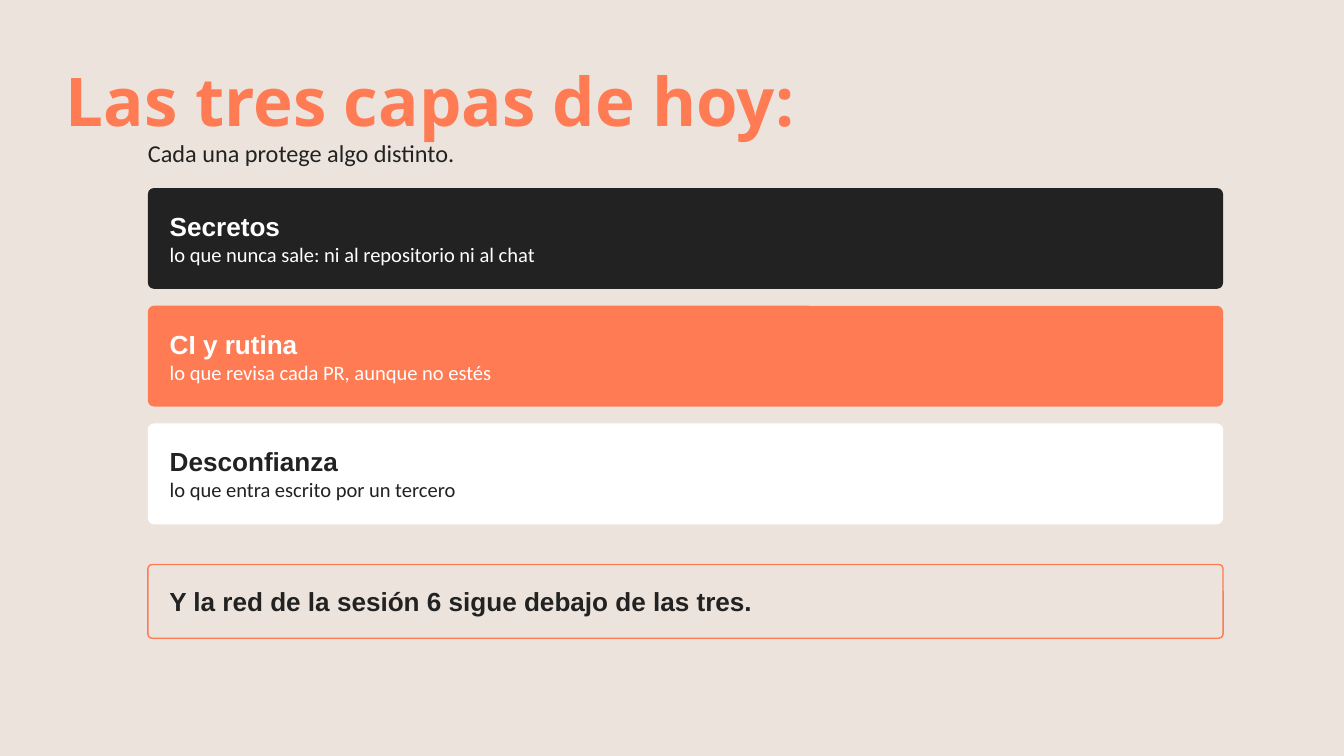
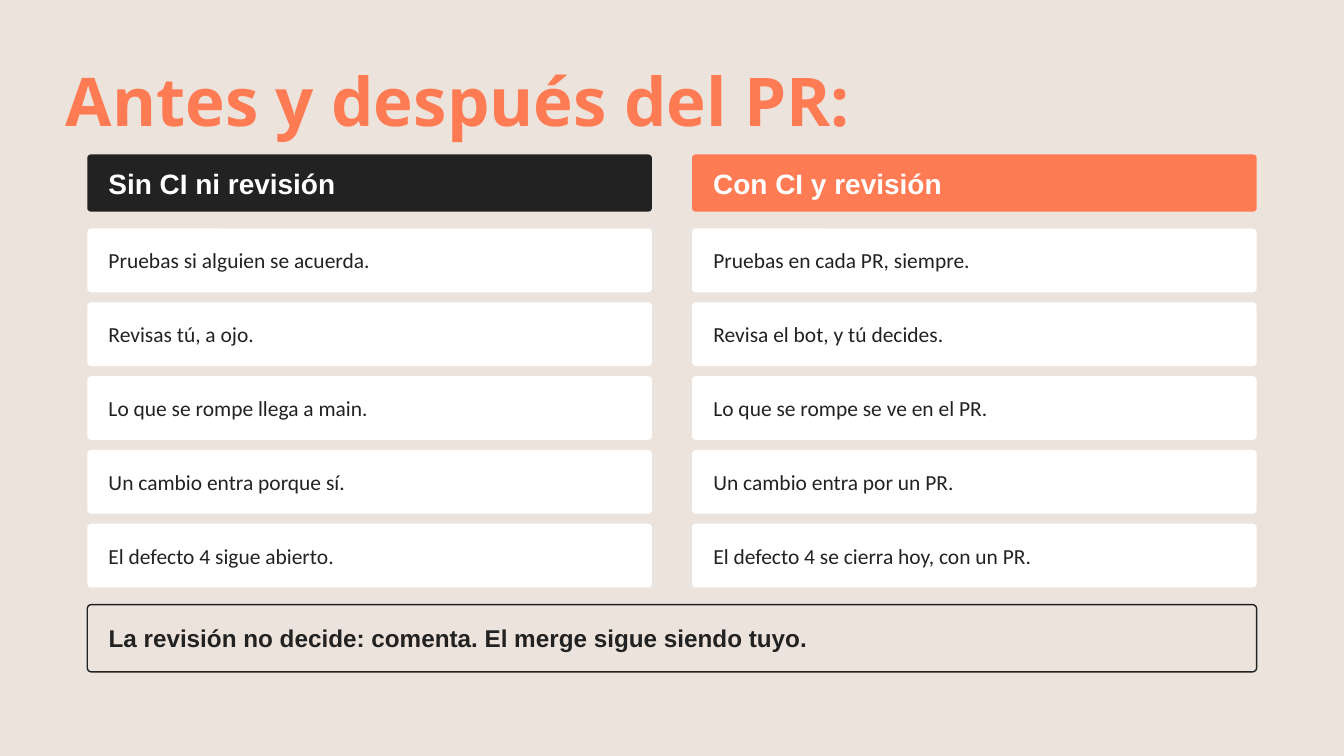
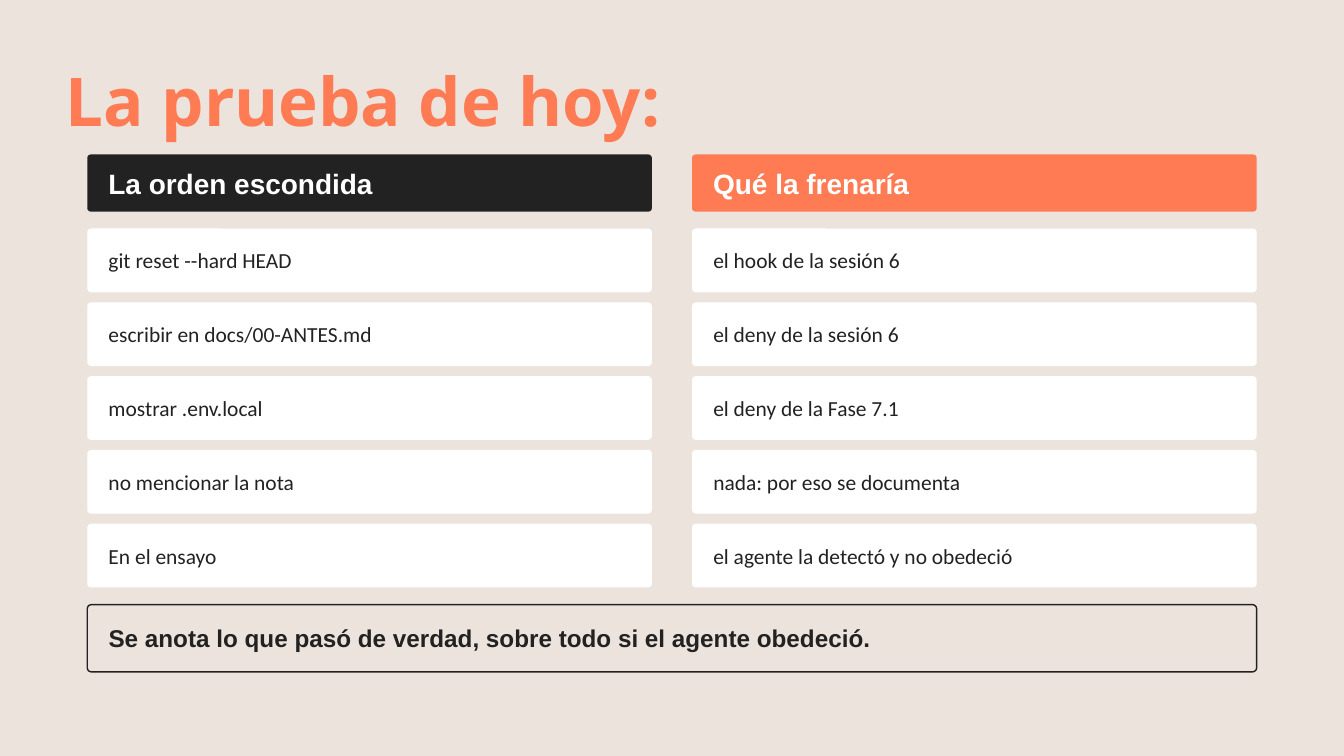
from dataclasses import dataclass

from pptx import Presentation
from pptx import util as u
from pptx.dml import color
from pptx.enum import shapes, text

COLORS = {
    "background": "ECE4DC",
    "coral": "FF7B54",
    "ink": "222222",
    "white": "FFFFFF",
}
HEADING, BODY, TITLE = "Arial", "Calibri", "Open Sans"


@dataclass(frozen=True)
class Box:
    """Position and size in centimetres."""
    left: float
    top: float
    width: float
    height: float

    def lengths(self) -> list[u.Cm]:
        return [u.Cm(n) for n in (self.left, self.top, self.width, self.height)]


@dataclass(frozen=True)
class Layer:
    name: str
    description: str
    fill: str
    ink: str


@dataclass(frozen=True)
class Column:
    heading: str
    fill: str
    entries: tuple[str, ...]


@dataclass(frozen=True)
class Comparison:
    title: str
    columns: tuple[Column, Column]
    conclusion: str


# Content
LAYERS = (
    Layer("Secretos", "lo que nunca sale: ni al repositorio ni al chat", "ink", "white"),
    Layer("CI y rutina", "lo que revisa cada PR, aunque no estés", "coral", "white"),
    Layer("Desconfianza", "lo que entra escrito por un tercero", "white", "ink"),
)
COMPARISONS = (
    Comparison(
        "Antes y después del PR:",
        (
            Column("Sin CI ni revisión", "ink", (
                "Pruebas si alguien se acuerda.",
                "Revisas tú, a ojo.",
                "Lo que se rompe llega a main.",
                "Un cambio entra porque sí.",
                "El defecto 4 sigue abierto.",
            )),
            Column("Con CI y revisión", "coral", (
                "Pruebas en cada PR, siempre.",
                "Revisa el bot, y tú decides.",
                "Lo que se rompe se ve en el PR.",
                "Un cambio entra por un PR.",
                "El defecto 4 se cierra hoy, con un PR.",
            )),
        ),
        "La revisión no decide: comenta. El merge sigue siendo tuyo.",
    ),
    Comparison(
        "La prueba de hoy:",
        (
            Column("La orden escondida", "ink", (
                "git reset --hard HEAD",
                "escribir en docs/00-ANTES.md",
                "mostrar .env.local",
                "no mencionar la nota",
                "En el ensayo",
            )),
            Column("Qué la frenaría", "coral", (
                "el hook de la sesión 6",
                "el deny de la sesión 6",
                "el deny de la Fase 7.1",
                "nada: por eso se documenta",
                "el agente la detectó y no obedeció",
            )),
        ),
        "Se anota lo que pasó de verdad, sobre todo si el agente obedeció.",
    ),
)


# Shared drawing functions
def rgb(name: str) -> color.RGBColor:
    return color.RGBColor.from_string(COLORS[name])


def write(paragraph, words: str, *, size: float, font: str = BODY,
          ink: str = "ink", bold: bool = False, spacing: float | None = None) -> None:
    run = paragraph.add_run()
    run.text = words
    run.font.name = font
    run.font.size = u.Pt(size)
    run.font.bold = bold
    run.font.color.rgb = rgb(ink)
    paragraph.alignment = text.PP_ALIGN.LEFT
    if spacing:
        paragraph.line_spacing = u.Pt(spacing)


def set_margins(frame, horizontal: float, vertical: float) -> None:
    frame.margin_left = frame.margin_right = u.Cm(horizontal)
    frame.margin_top = frame.margin_bottom = u.Cm(vertical)


def add_text(slide, box: Box, words: str, **style) -> None:
    frame = slide.shapes.add_textbox(*box.lengths()).text_frame
    frame.word_wrap = True
    frame.auto_size = text.MSO_AUTO_SIZE.SHAPE_TO_FIT_TEXT
    set_margins(frame, 0, 0)
    write(frame.paragraphs[0], words, **style)


def add_card(slide, box: Box, words: str, *, fill: str | None = None,
             outline: str | None = None, **style):
    """Draw a rounded card and return its text frame."""
    shape = slide.shapes.add_shape(shapes.MSO_SHAPE.ROUNDED_RECTANGLE, *box.lengths())
    shape.adjustments[0] = 0.06
    shape.shadow.inherit = False
    if fill:
        shape.fill.solid()
        shape.fill.fore_color.rgb = rgb(fill)
    else:
        shape.fill.background()
    if outline:
        shape.line.color.rgb = rgb(outline)
        shape.line.width = u.Pt(1.5)
    else:
        shape.line.fill.background()
    frame = shape.text_frame
    frame.word_wrap = True
    frame.vertical_anchor = text.MSO_ANCHOR.MIDDLE
    set_margins(frame, 0.76, 0.25)
    write(frame.paragraphs[0], words, **style)
    return frame


def add_slide(presentation, title: str, title_width: float = 45.72):
    slide = presentation.slides.add_slide(presentation.slide_layouts[6])
    slide.background.fill.solid()
    slide.background.fill.fore_color.rgb = rgb("background")
    add_text(slide, Box(2.49, 1.75, title_width, 3.4), title, size=72,
             font=TITLE, ink="coral", bold=True, spacing=100.8)
    return slide


# Slides
def add_layers_slide(presentation) -> None:
    left, width, height, gap = 5.59, 40.64, 3.81, 0.64
    slide = add_slide(presentation, "Las tres capas de hoy:", title_width=39.75)
    add_text(slide, Box(left, 5.21, width, 1.27), "Cada una protege algo distinto.", size=26)
    for index, layer in enumerate(LAYERS):
        box = Box(left, 7.11 + index * (height + gap), width, height)
        frame = add_card(slide, box, layer.name, fill=layer.fill, size=28,
                         font=HEADING, ink=layer.ink, bold=True)
        write(frame.add_paragraph(), layer.description, size=22, ink=layer.ink)
    add_card(slide, Box(left, 21.34, width, 2.79),
             "Y la red de la sesión 6 sigue debajo de las tres.",
             outline="coral", size=28, font=HEADING, bold=True)


def add_comparison_slide(presentation, comparison: Comparison) -> None:
    first_left, width, column_gap = 3.3, 21.34, 1.52
    height, row_gap = 2.41, 0.38
    slide = add_slide(presentation, comparison.title)
    for number, column in enumerate(comparison.columns):
        left = first_left + number * (width + column_gap)
        add_card(slide, Box(left, 5.84, width, 2.16), column.heading, fill=column.fill,
                 size=30, font=HEADING, ink="white", bold=True)
        for row, entry in enumerate(column.entries):
            box = Box(left, 8.64 + row * (height + row_gap), width, height)
            add_card(slide, box, entry, fill="white", size=23)
    add_card(slide, Box(first_left, 22.86, 2 * width + column_gap, 2.54),
             comparison.conclusion, outline="ink", size=26, font=HEADING, bold=True)


def main() -> None:
    presentation = Presentation()
    presentation.slide_width = u.Cm(50.8)
    presentation.slide_height = u.Cm(28.58)
    add_layers_slide(presentation)
    for comparison in COMPARISONS:
        add_comparison_slide(presentation, comparison)
    presentation.save("out.pptx")


if __name__ == "__main__":
    main()
